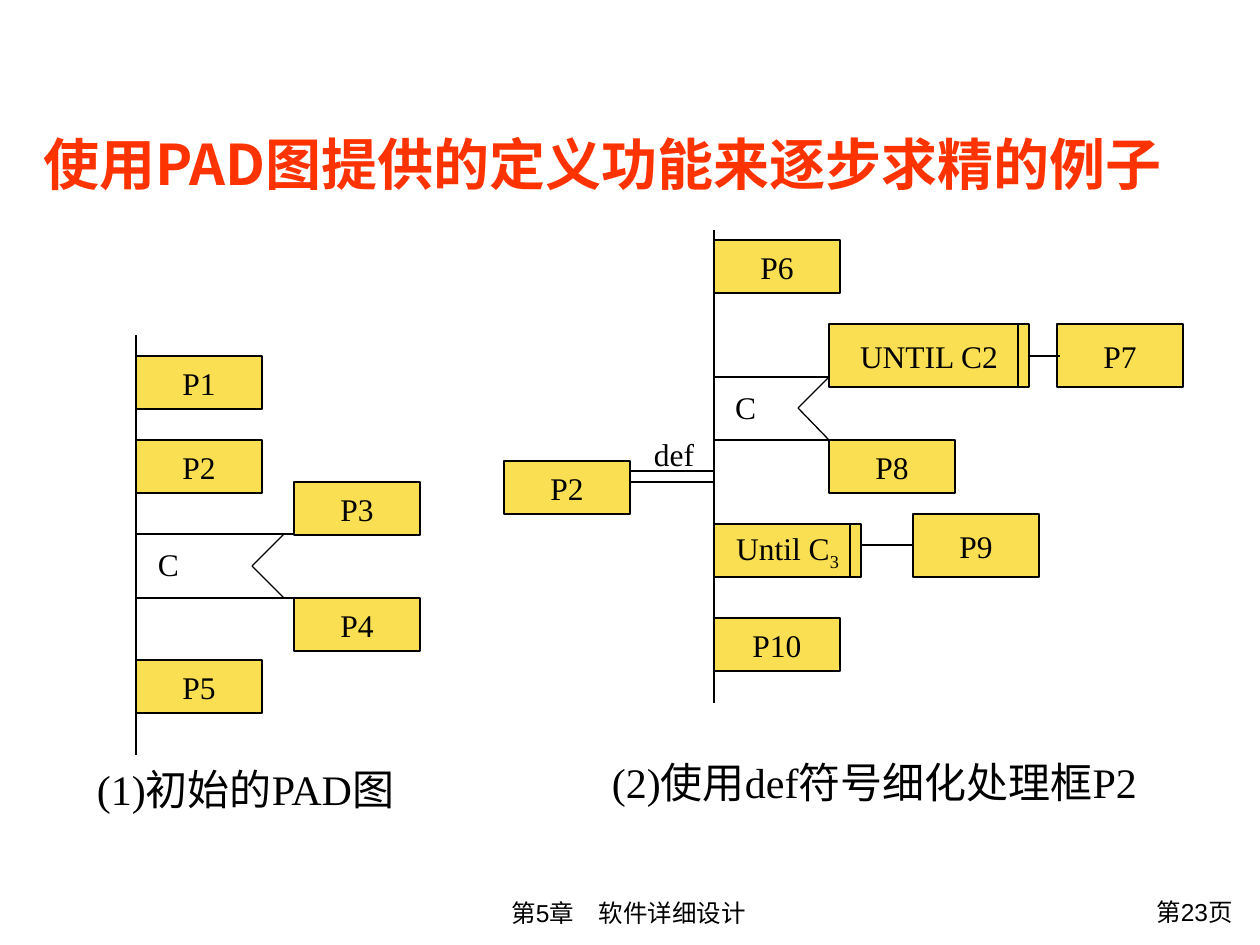
"""Build a slide showing how a PAD chart is refined with the def symbol."""

from dataclasses import dataclass

import lxml.etree
import pptx
import pptx.dml.color
import pptx.enum.shapes
import pptx.enum.text
import pptx.oxml.ns
import pptx.util

EMU_PER_PX = 914400 / 126
BLACK = pptx.dml.color.RGBColor(0x00, 0x00, 0x00)
YELLOW = pptx.dml.color.RGBColor(0xFB, 0xDF, 0x53)
ORANGE_RED = pptx.dml.color.RGBColor(0xFF, 0x33, 0x00)
SERIF = "Times New Roman"
SANS = "Arial"
CJK = "Noto Sans CJK SC"
LEFT = pptx.enum.text.PP_ALIGN.LEFT
CENTER = pptx.enum.text.PP_ALIGN.CENTER
RIGHT = pptx.enum.text.PP_ALIGN.RIGHT


@dataclass(frozen=True)
class Process:
    text: str
    left: int
    top: int
    width: int = 126
    height: int = 53
    subscript: str = ""


@dataclass(frozen=True)
class Line:
    x1: int
    y1: int
    x2: int
    y2: int


@dataclass(frozen=True)
class Fork:
    left: int
    top: int
    bottom: int
    tip: int
    end: int


@dataclass(frozen=True)
class Label:
    text: str
    left: int
    top: int
    width: int
    height: int
    size: int = 18
    font: str = SERIF
    color: pptx.dml.color.RGBColor = BLACK
    bold: bool = False
    align: pptx.enum.text.PP_ALIGN = LEFT
    wrap: bool = True
    inset: int = 13


FORKS = [Fork(136, 534, 598, 252, 315), Fork(714, 377, 440, 798, 840)]
AXES = [Line(136, 335, 136, 755), Line(714, 230, 714, 703)]
DEF_LINES = [Line(630, 471, 714, 471), Line(630, 482, 714, 482)]
PROCESSES = [
    Process("P1", 136, 356),
    Process("P2", 136, 440),
    Process("P3", 294, 482),
    Process("P4", 294, 598),
    Process("P5", 136, 660),
    Process("P2", 504, 461),
    Process("P6", 714, 240),
    Process("P7", 1057, 324, height=63),
    Process("P8", 829, 440),
    Process("Until C", 714, 524, width=147, subscript="3"),
    Process("UNTIL C2", 829, 324, width=200, height=63),
    Process("P9", 913, 514, height=63),
    Process("P10", 714, 618),
]
LOOP_LINES = [
    Line(1018, 324, 1018, 387),
    Line(1029, 356, 1060, 356),
    Line(850, 524, 850, 577),
    Line(861, 545, 913, 545),
]
LABELS = [
    Label("C", 145, 539, 45, 50, wrap=False),
    Label("def", 641, 429, 66, 50, wrap=False),
    Label("C", 722, 382, 45, 50, wrap=False),
    Label("使用PAD图提供的定义功能来逐步求精的例子", 18, 123, 1227, 81,
          32, CJK, ORANGE_RED, bold=True, inset=25),
    Label("(1)初始的PAD图", 84, 757, 441, 63, 24),
    Label("(2)使用def符号细化处理框P2", 599, 750, 609, 63, 24),
    Label("第5章　软件详细设计", 296, 892, 665, 43, 14, SANS, align=CENTER),
    Label("第23页", 1076, 891, 169, 47, 14, SANS, align=RIGHT),
]


def px(length: int) -> pptx.util.Emu:
    return pptx.util.Emu(round(length * EMU_PER_PX))


def add_run(para, text: str, size: int = 18, font: str = SERIF,
            color=BLACK, bold: bool = False, baseline: int = 0) -> None:
    span = para.add_run()
    span.text = text
    span.font.size = pptx.util.Pt(size)
    span.font.name = font
    span.font.color.rgb = color
    span.font.bold = bold
    properties = span._r.get_or_add_rPr()
    east_asian = lxml.etree.SubElement(properties, pptx.oxml.ns.qn("a:ea"))
    east_asian.set("typeface", CJK)
    if baseline:
        properties.set("baseline", str(baseline))


def add_line(page, line: Line) -> None:
    connector = page.shapes.add_connector(
        pptx.enum.shapes.MSO_CONNECTOR.STRAIGHT,
        px(line.x1), px(line.y1), px(line.x2), px(line.y2))
    connector.line.color.rgb = BLACK
    connector.line.width = pptx.util.Pt(0.75)
    lxml.etree.SubElement(connector._element.spPr, pptx.oxml.ns.qn("a:effectLst"))


def add_fork(page, fork: Fork) -> None:
    middle = (fork.top + fork.bottom) // 2
    corner = fork.tip + (fork.bottom - fork.top) // 2
    for y in (fork.top, fork.bottom):
        add_line(page, Line(fork.left, y, fork.end, y))
        add_line(page, Line(fork.tip, middle, corner, y))


def add_process(page, process: Process) -> None:
    box = page.shapes.add_shape(
        pptx.enum.shapes.MSO_SHAPE.RECTANGLE, px(process.left), px(process.top),
        px(process.width), px(process.height))
    box.shadow.inherit = False
    box.fill.solid()
    box.fill.fore_color.rgb = YELLOW
    box.line.color.rgb = BLACK
    box.line.width = pptx.util.Pt(0.75)
    box.text_frame.word_wrap = False
    box.text_frame.vertical_anchor = pptx.enum.text.MSO_ANCHOR.MIDDLE
    para = box.text_frame.paragraphs[0]
    para.alignment = CENTER
    add_run(para, process.text)
    if process.subscript:
        add_run(para, process.subscript, baseline=-25000)


def add_label(page, label: Label) -> None:
    box = page.shapes.add_textbox(
        px(label.left), px(label.top), px(label.width), px(label.height))
    box.text_frame.word_wrap = label.wrap
    box.text_frame.margin_left = px(label.inset)
    para = box.text_frame.paragraphs[0]
    para.alignment = label.align
    add_run(para, label.text, label.size, label.font, label.color, label.bold)


def main() -> None:
    deck = pptx.Presentation()
    deck.slide_width = px(1260)
    deck.slide_height = px(945)
    page = deck.slides.add_slide(deck.slide_layouts[6])
    for line in AXES + DEF_LINES:
        add_line(page, line)
    for fork in FORKS:
        add_fork(page, fork)
    for process in PROCESSES:
        add_process(page, process)
    for line in LOOP_LINES:
        add_line(page, line)
    for label in LABELS:
        add_label(page, label)
    deck.save("out.pptx")


if __name__ == "__main__":
    main()
